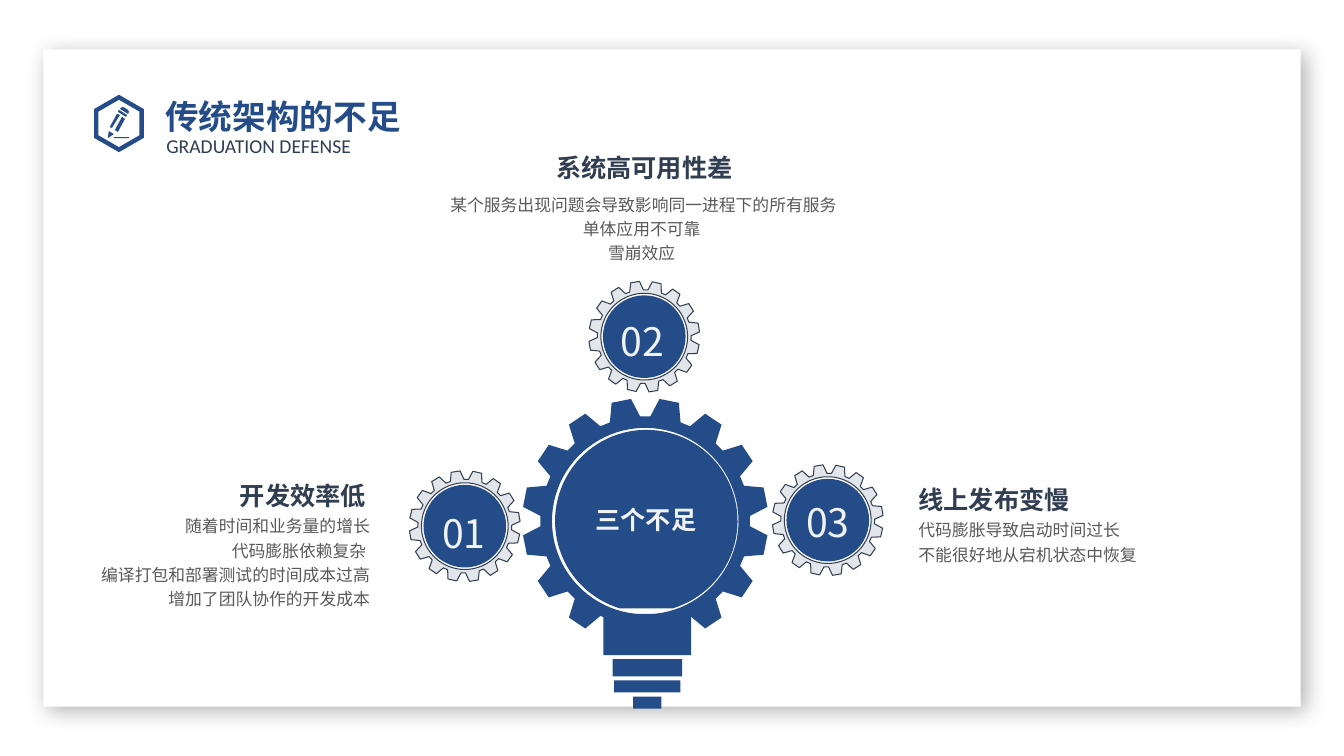
import math
from pptx import Presentation
from pptx.dml.color import RGBColor
from pptx.enum import shapes, text
from pptx.oxml import parse_xml
from pptx.oxml.ns import nsdecls, qn
from pptx.util import Inches, Pt

BLUE, NAVY, GREY, PALE, RIM, WHITE = "244C89", "313D51", "595959", "F0F2F4", "E2E6EA", "FFFFFF"
CJK = "Noto Sans CJK SC"
LEFT, CENTER, RIGHT, JUSTIFY = (
    text.PP_ALIGN.LEFT, text.PP_ALIGN.CENTER, text.PP_ALIGN.RIGHT, text.PP_ALIGN.JUSTIFY)

TITLE = "传统架构的不足"
SUBTITLE = "GRADUATION DEFENSE"
HUB_LABEL = "三个不足"
ISSUES = [
    {"heading": "系统高可用性差", "heading_at": (5.16, 1.45, 2.46, 0.33), "heading_align": CENTER,
     "details": [("某个服务出现问题会导致影响同一进程下的所有服务", RIGHT),
                 ("单体应用不可靠", CENTER), ("雪崩效应", CENTER)],
     "details_at": (4.43, 1.89, 3.87, 0.71)},
    {"heading": "开发效率低", "heading_at": (1.17, 4.71, 2.46, 0.33), "heading_align": RIGHT,
     "details": [("随着时间和业务量的增长", RIGHT), ("代码膨胀依赖复杂 ", RIGHT),
                 ("编译打包和部署测试的时间成本过高增加了团队协作的开发成本", RIGHT)],
     "details_at": (0.89, 5.08, 2.78, 0.95)},
    {"heading": "线上发布变慢", "heading_at": (9.11, 4.74, 2.46, 0.33), "heading_align": LEFT,
     "details": [("代码膨胀导致启动时间过长", JUSTIFY), ("不能很好地从宕机状态中恢复", JUSTIFY)],
     "details_at": (9.11, 5.12, 2.74, 0.46)},
]
SMALL_GEARS = [
    ("01", (4.61, 5.22), (4.27, 4.91)),
    ("02", (6.39, 3.34), (6.04, 3.01)),
    ("03", (8.21, 5.16), (7.88, 4.8)),
]
HUB = (6.4, 5.17)
BULB_BASE = [(0.87, 6.09, 0.41), (0.69, 6.54, 0.17), (0.66, 6.75, 0.12), (0.28, 6.91, 0.12)]
BULB_CENTER = 6.42
PENCIL = [
    [(1.13, 1.36), (1.28, 1.36), (1.28, 1.37), (1.13, 1.37)],
    [(1.14, 1.29), (1.21, 1.16), (1.24, 1.18), (1.17, 1.31)],
    [(1.09, 1.26), (1.16, 1.13), (1.19, 1.14), (1.11, 1.27)],
    [(1.07, 1.37), (1.08, 1.3), (1.13, 1.33)],
    [(1.18, 1.09), (1.17, 1.11), (1.25, 1.16), (1.26, 1.14)],
    [(1.19, 1.08), (1.2, 1.07), (1.22, 1.06), (1.27, 1.09), (1.28, 1.11), (1.27, 1.13)],
]


def color(value):
    return RGBColor.from_string(value)


def paint(shape, fill, line=None):
    shape.shadow.inherit = False
    shape.fill.solid()
    shape.fill.fore_color.rgb = color(fill)
    if line:
        shape.line.color.rgb = color(line)
        shape.line.width = Pt(0.75)
    else:
        shape.line.fill.background()
    return shape


def add_block(page, kind, place, fill):
    return paint(page.shapes.add_shape(kind, *map(Inches, place)), fill)


def add_outline(page, contours, fill, line=None):
    rings = [[(Inches(x), Inches(y)) for x, y in ring] for ring in contours]
    builder = page.shapes.build_freeform(*rings[0][0], scale=1.0)
    builder.add_line_segments(rings[0][1:], close=True)
    for ring in rings[1:]:
        builder.move_to(*ring[0])
        builder.add_line_segments(ring[1:], close=True)
    return paint(builder.convert_to_shape(), fill, line)


def polar(center, radius, degrees):
    angle = math.radians(degrees)
    return center[0] + radius * math.cos(angle), center[1] + radius * math.sin(angle)


def arc(center, radius, start=0, sweep=360, steps=90):
    return [polar(center, radius, start + sweep * i / steps) for i in range(steps + 1)]


def add_gear(page, center, tip, root, hole, turn, fill, line=None):
    pitch = 360 / 16
    corners = [(root, -8.45), (tip, -4.6), (tip, 4.6), (root, 8.45)]
    teeth = [polar(center, radius, turn + pitch * (i + 0.5) + offset)
             for i in range(16) for radius, offset in corners]
    add_outline(page, [arc(center, hole), teeth], fill, line)


def write(frame, lines, size, ink, font=CJK, bold=False, spacing=1.2):
    for i, (words, align) in enumerate(lines):
        para = frame.paragraphs[0] if i == 0 else frame.add_paragraph()
        para.alignment = align
        para.line_spacing = spacing
        span = para.add_run()
        span.text = words
        span.font.size = Pt(size)
        span.font.bold = bold
        span.font.color.rgb = color(ink)
        span.font.name = font
        east = span.font._element.makeelement(qn("a:ea"), {"typeface": CJK})
        span.font._element.find(qn("a:latin")).addnext(east)


def add_text(page, place, lines, size, ink, insets=(0, 0, 0, 0), wrap=True, **style):
    frame = page.shapes.add_textbox(*map(Inches, place)).text_frame
    frame.word_wrap = wrap
    frame.auto_size = text.MSO_AUTO_SIZE.SHAPE_TO_FIT_TEXT
    frame.margin_left, frame.margin_top, frame.margin_right, frame.margin_bottom = map(Inches, insets)
    write(frame, lines, size, ink, **style)


def add_header(page):
    title = page.shapes.title
    card = add_block(page, shapes.MSO_SHAPE.RECTANGLE, (0.43, 0.49, 12.47, 6.52), WHITE)
    properties = card.element.spPr
    properties.remove(properties.find(qn("a:effectLst")))
    properties.append(parse_xml(
        f'<a:effectLst {nsdecls("a")}><a:outerShdw blurRad="{Pt(15)}" dist="{Pt(5)}" dir="2700000" '
        'algn="tl" rotWithShape="0"><a:srgbClr val="000000"><a:alpha val="30000"/></a:srgbClr>'
        '</a:outerShdw></a:effectLst>'))
    title.element.addprevious(card.element)
    badge = (1.18, 1.225)
    hexagons = [[polar(badge, radius, 60 * i - 90) for i in range(6)] for radius in (0.285, 0.235)]
    add_outline(page, hexagons + PENCIL, BLUE)
    add_text(page, (1.65, 1.24, 2.17, 0.34), [(SUBTITLE, LEFT)], 14, NAVY,
             insets=(0, 0, 0, 0.05), font="Calibri", spacing=Pt(23))
    title.left, title.top, title.width, title.height = map(Inches, (1.54, 0.82, 3.97, 0.5))
    title.text_frame.auto_size = text.MSO_AUTO_SIZE.NONE
    title.text_frame.vertical_anchor = text.MSO_ANCHOR.TOP
    write(title.text_frame, [(TITLE, LEFT)], 24, BLUE, font="Cabin", bold=True)


def add_bulb(page):
    add_gear(page, HUB, 1.22, 1.04, 0.925, 0, BLUE)
    for width, top, height in BULB_BASE:
        place = (BULB_CENTER - width / 2, top, width, height)
        add_block(page, shapes.MSO_SHAPE.RECTANGLE, place, BLUE)
    for number, center, label in SMALL_GEARS:
        add_gear(page, center, 0.55, 0.465, 0.43, 1.75, RIM, "333F50")
        disc = (center[0] - 0.41, center[1] - 0.41, 0.82, 0.82)
        add_block(page, shapes.MSO_SHAPE.OVAL, disc, BLUE)
        add_text(page, (*label, 0.66, 0.62), [(number, CENTER)], 28, PALE,
                 insets=(0.1, 0.05, 0.1, 0.05), wrap=False)
    add_outline(page, [arc((6.41, 5.17), 0.905, 106.7, 326.6)], BLUE)
    add_text(page, (5.65, 4.89, 1.51, 0.43), [(HUB_LABEL, CENTER)], 18, PALE,
             insets=(0.1, 0.05, 0.1, 0.05), bold=True)


def main():
    deck = Presentation()
    deck.slide_width, deck.slide_height = Inches(13.33), Inches(7.5)
    page = deck.slides.add_slide(deck.slide_layouts[5])
    add_header(page)
    for issue in ISSUES:
        add_text(page, issue["heading_at"], [(issue["heading"], issue["heading_align"])],
                 18, NAVY, bold=True)
        add_text(page, issue["details_at"], issue["details"], 12, GREY)
    add_bulb(page)
    deck.save("out.pptx")


if __name__ == "__main__":
    main()
